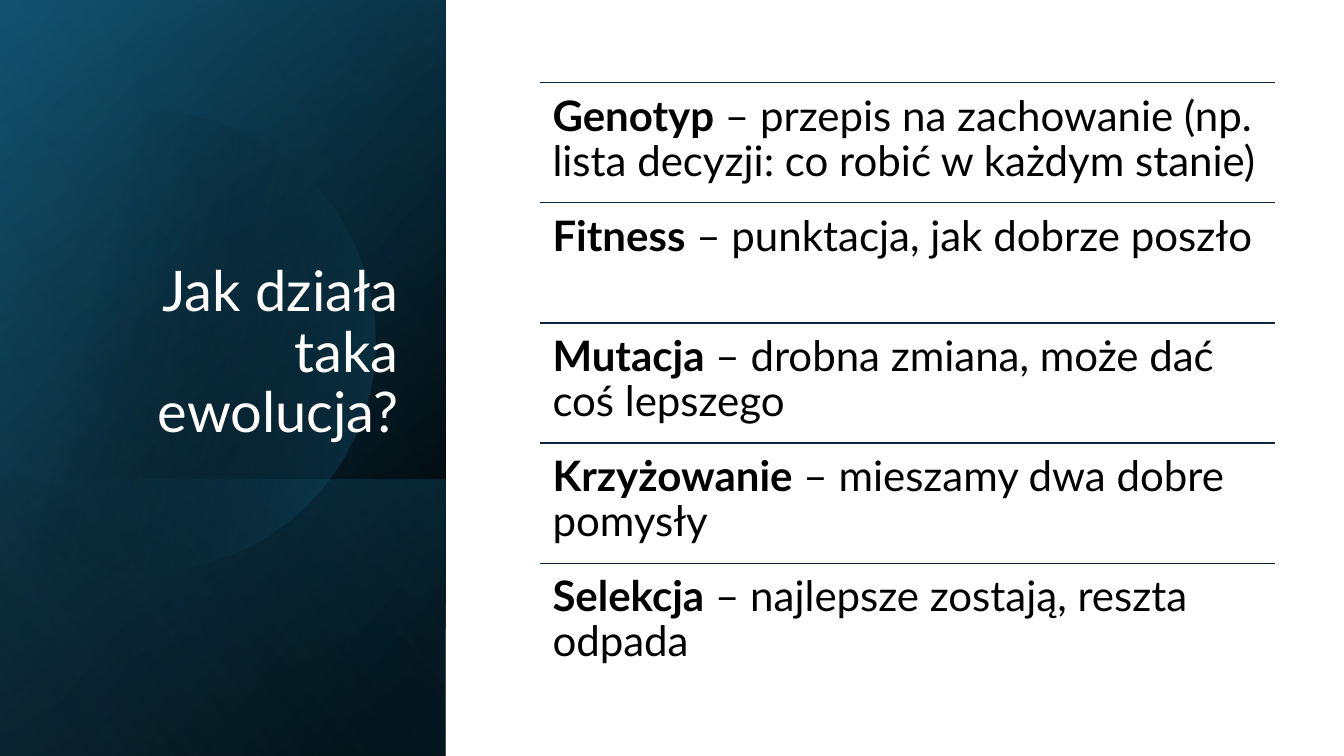
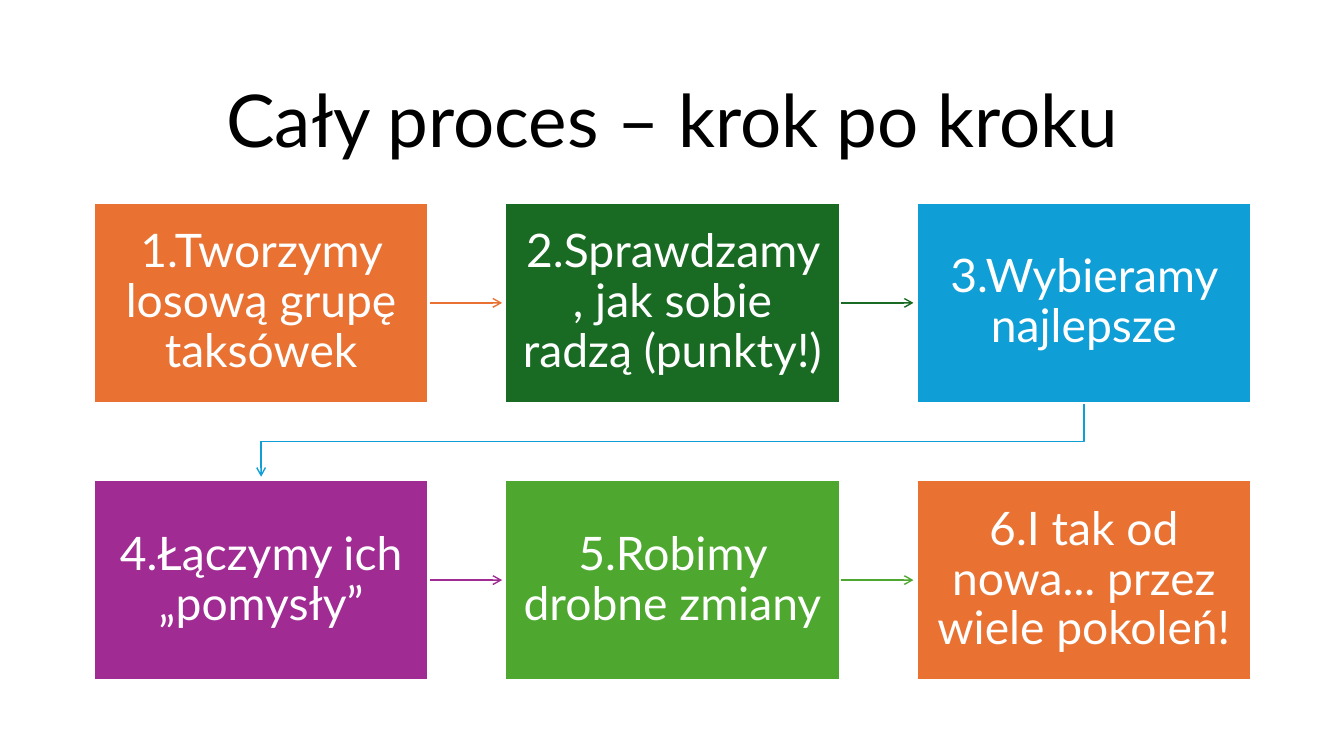
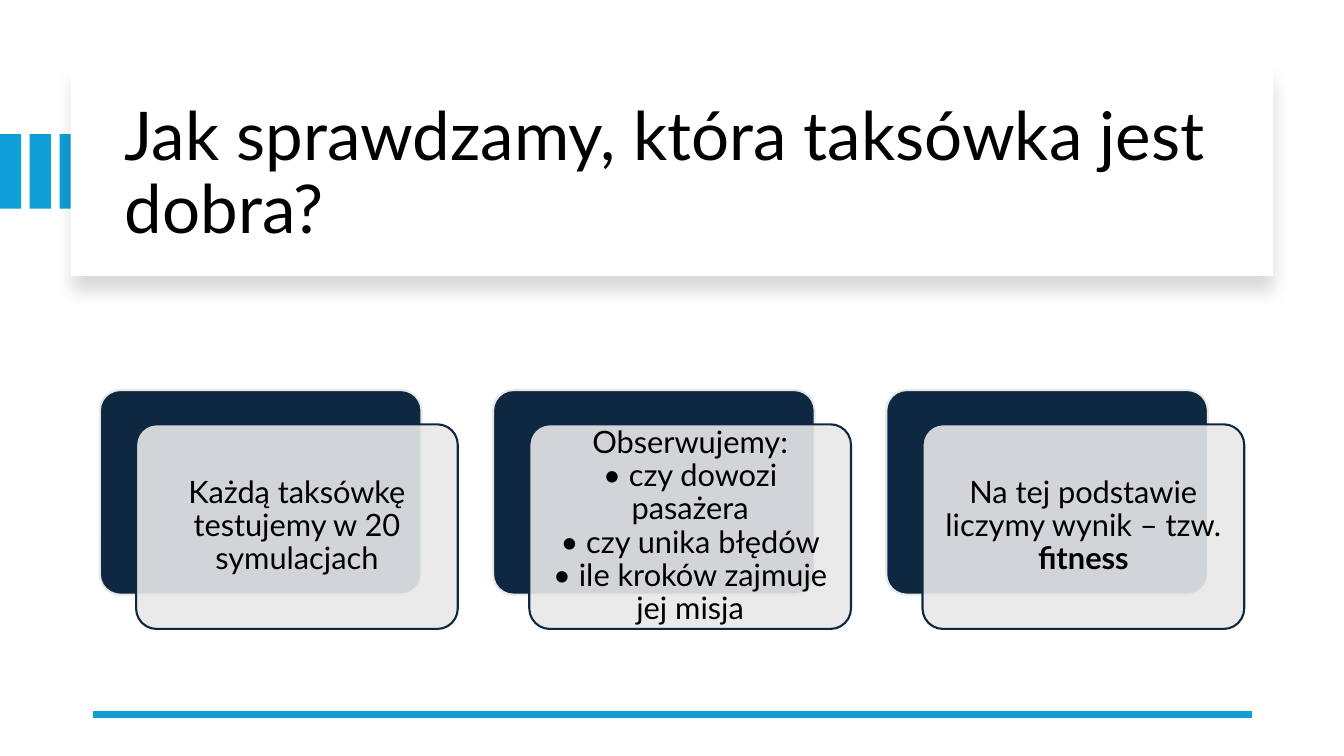
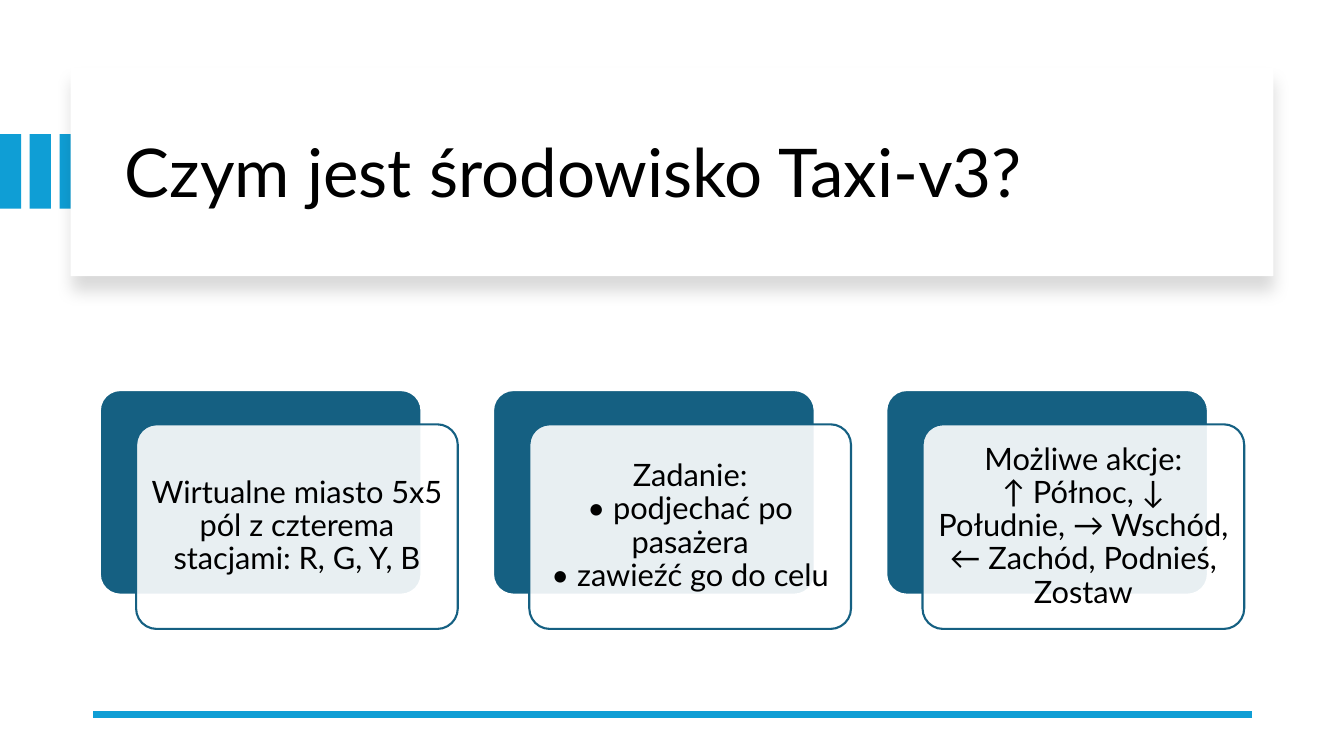
from lxml.etree import SubElement
from pptx import Presentation
from pptx.dml.color import RGBColor
from pptx.enum.shapes import MSO_CONNECTOR as Connector, MSO_SHAPE as Shape
from pptx.enum.text import MSO_ANCHOR as Anchor, PP_ALIGN as Align
from pptx.oxml import parse_xml
from pptx.oxml.ns import nsdecls, qn
from pptx.util import Inches, Pt

FONT = "Lato"
COLORS = {
    "white": "FFFFFF", "black": "000000", "navy": "0E2841", "teal": "156082",
    "deep_teal": "104862", "light_blue": "46B1E1", "blue": "0F9ED5", "grey": "E8E8E8",
    "orange": "E97132", "dark_green": "196B24", "purple": "A02B93", "green": "4EA72E",
}

TERMS_TITLE = "Jak działa taka ewolucja?"
TERMS = [
    ("Genotyp", " – przepis na zachowanie (np. lista decyzji: co robić w każdym stanie)"),
    ("Fitness", " – punktacja, jak dobrze poszło"),
    ("Mutacja", " – drobna zmiana, może dać coś lepszego"),
    ("Krzyżowanie", " – mieszamy dwa dobre pomysły"),
    ("Selekcja", " – najlepsze zostają, reszta odpada"),
]

STEPS_TITLE = "Cały proces – krok po kroku"
STEPS = [
    ("1.Tworzymy losową grupę taksówek", "orange"),
    ("2.Sprawdzamy, jak sobie radzą (punkty!)", "dark_green"),
    ("3.Wybieramy najlepsze", "blue"),
    ("4.Łączymy ich „pomysły”", "purple"),
    ("5.Robimy drobne zmiany", "green"),
    ("6.I tak od nowa... przez wiele pokoleń!", "orange"),
]

CARD_SLIDES = [
    {
        "title": "Jak sprawdzamy, która taksówka jest dobra?",
        "dark": "navy",
        "light": "grey",
        "cards": [
            [("Każdą taksówkę testujemy w 20 symulacjach", False)],
            [("Obserwujemy:\n• czy dowozi pasażera\n• czy unika błędów\n"
              "• ile kroków zajmuje jej misja", False)],
            [("Na tej podstawie liczymy wynik – tzw. ", False), ("fitness", True)],
        ],
    },
    {
        "title": "Czym jest środowisko Taxi-v3?",
        "dark": "teal",
        "light": "white",
        "cards": [
            [("Wirtualne miasto 5x5 pól z czterema stacjami: R, G, Y, B", False)],
            [("Zadanie:\n• podjechać po pasażera\n• zawieźć go do celu", False)],
            [("Możliwe akcje:\n↑ Północ, ↓ Południe, → Wschód, ← Zachód, "
              "Podnieś, Zostaw", False)],
        ],
    },
]

PANEL_WIDTH = 4.42
LOWER_TOP = 4.76
PANEL_LAYERS = [
    (0, 7.5, [(8, "black", 100), (100, "deep_teal", 100)], 50),
    (0, 7.5, [(0, "black", 0), (99, "teal", 46)], 30),
    (LOWER_TOP, 2.74, [(2, "teal", 29), (100, "black", 30)], 130),
]
PANEL_GLOW = (0, 7.5, [(0, "black", 0), (99, "light_blue", 11)], 120)
DISC_CURVES = [
    [(1.49, 1.1), (2.46, 1.12), (3.35, 1.77), (3.63, 2.75)],
    [(3.63, 2.75), (3.98, 3.97), (3.28, 5.23), (2.07, 5.58)],
    [(2.07, 5.58), (1.31, 5.8), (0.53, 5.61), (0, 5.16)],
    [(0, 1.61), (0.23, 1.42), (0.5, 1.28), (0.8, 1.19)],
    [(0.8, 1.19), (1.03, 1.13), (1.26, 1.1), (1.49, 1.1)],
]
DISC_STOPS = [(29, "black", 0), (100, "teal", 43)]


def rgb(name):
    return RGBColor.from_string(COLORS[name])


def write_text(shape, parts, size, color="black", align=Align.LEFT,
               anchor=Anchor.TOP, insets=(0.1, 0.05)):
    frame = shape.text_frame
    frame.word_wrap = True
    frame.vertical_anchor = anchor
    frame.margin_left = frame.margin_right = Inches(insets[0])
    frame.margin_top = frame.margin_bottom = Inches(insets[1])
    paragraph = frame.paragraphs[0]
    paragraph.alignment = align
    paragraph.line_spacing = 0.9
    for text, bold in parts:
        for index, line in enumerate(text.split("\n")):
            if index:
                paragraph.add_line_break()
            run = paragraph.add_run()
            run.text = line
            run.font.name = FONT
            run.font.size = Pt(size)
            run.font.bold = bold
            run.font.color.rgb = rgb(color)


def add_text(slide, box, parts, size, **style):
    shape = slide.shapes.add_textbox(*map(Inches, box))
    write_text(shape, parts, size, **style)


def style_shape(shape, fill=None, line=None, width=1.5, alpha=100):
    shape.shadow.inherit = False
    if fill:
        shape.fill.solid()
        shape.fill.fore_color.rgb = rgb(fill)
        if alpha < 100:
            color = shape.element.spPr.find(qn("a:solidFill"))[0]
            SubElement(color, qn("a:alpha"), val=str(alpha * 1000))
    else:
        shape.fill.background()
    if line:
        shape.line.color.rgb = rgb(line)
        shape.line.width = Pt(width)
    else:
        shape.line.fill.background()


def add_box(slide, kind, box, **style):
    shape = slide.shapes.add_shape(kind, *map(Inches, box))
    style_shape(shape, **style)
    return shape


def add_line(slide, start, end, color, width):
    line = slide.shapes.add_connector(Connector.STRAIGHT, *map(Inches, start + end))
    line.line.color.rgb = rgb(color)
    line.line.width = Pt(width)
    SubElement(line.element.spPr, qn("a:effectLst"))
    return line


def add_arrowhead(shape):
    outline = shape.element.spPr.find(qn("a:ln"))
    SubElement(outline, qn("a:tailEnd"), type="arrow")


def set_gradient(shape, stops, angle):
    style_shape(shape)
    stop_xml = "".join(
        f'<a:gs pos="{position * 1000}"><a:srgbClr val="{COLORS[color]}">'
        f'<a:alpha val="{alpha * 1000}"/></a:srgbClr></a:gs>'
        for position, color, alpha in stops)
    gradient = parse_xml(
        f'<a:gradFill {nsdecls("a")} rotWithShape="1"><a:gsLst>{stop_xml}</a:gsLst>'
        f'<a:lin ang="{angle * 60000}" scaled="0"/></a:gradFill>')
    properties = shape.element.spPr
    properties.replace(properties.find(qn("a:noFill")), gradient)


def add_panel_layer(slide, top, height, stops, angle):
    box = ((PANEL_WIDTH - height) / 2, top + (height - PANEL_WIDTH) / 2,
           height, PANEL_WIDTH)
    shape = slide.shapes.add_shape(Shape.RECTANGLE, *map(Inches, box))
    shape.rotation = 90
    shape.element.spPr.xfrm.set("flipH", "1")
    set_gradient(shape, stops, angle)


def add_outline(slide, points, close):
    points = [(Inches(x), Inches(y)) for x, y in points]
    builder = slide.shapes.build_freeform(*points[0])
    builder.add_line_segments(points[1:], close=close)
    return builder.convert_to_shape()


def curve_points(curve, count=16):
    for index in range(count + 1):
        t = index / count
        weights = ((1 - t) ** 3, 3 * t * (1 - t) ** 2, 3 * t * t * (1 - t), t ** 3)
        yield tuple(sum(w * point[axis] for w, point in zip(weights, curve))
                    for axis in (0, 1))


def build_terms(slide):
    for layer in PANEL_LAYERS:
        add_panel_layer(slide, *layer)
    disc_points = [point for curve in DISC_CURVES for point in curve_points(curve)]
    set_gradient(add_outline(slide, disc_points, True), DISC_STOPS, 14)
    add_panel_layer(slide, *PANEL_GLOW)
    add_text(slide, (0.64, 1.84, 3.41, 2.62), [(TERMS_TITLE, False)], 40,
             color="white", align=Align.RIGHT, anchor=Anchor.BOTTOM)

    left, top, width, bottom = 5.36, 0.82, 7.29, 6.78
    row_height = (bottom - top) / len(TERMS)
    for index, (term, meaning) in enumerate(TERMS):
        row_top = top + index * row_height
        add_line(slide, (left, row_top), (left + width, row_top), "navy", 1)
        add_text(slide, (left, row_top, width, row_height),
                 [(term, True), (meaning, False)], 30, insets=(0.12, 0.12))


def build_steps(slide):
    add_text(slide, (0.92, 0.61, 11.5, 1.24), [(STEPS_TITLE, False)], 52,
             align=Align.CENTER, anchor=Anchor.MIDDLE)
    columns, left, top, width, height = 3, 0.93, 2.01, 3.32, 1.99
    column_step, row_step, gap = 4.08, 2.75, 0.73
    for index, (text, color) in enumerate(STEPS):
        row, column = divmod(index, columns)
        x, y = left + column * column_step, top + row * row_step
        if column < columns - 1:
            start = (x + width, y + height / 2)
            arrow = add_line(slide, start, (start[0] + gap, start[1]), color, 1)
            add_arrowhead(arrow)
        elif index < len(STEPS) - 1:
            start_x, end_x, bottom = x + width / 2, left + width / 2, y + height
            turn = bottom + 0.38
            arrow = add_outline(slide, [(start_x, bottom), (start_x, turn),
                                        (end_x, turn), (end_x, bottom + gap)], False)
            style_shape(arrow, line=color, width=1)
            add_arrowhead(arrow)
        step = add_box(slide, Shape.RECTANGLE, (x, y, width, height),
                       fill=color, line="white")
        write_text(step, [(text, False)], 33, color="white", align=Align.CENTER,
                   anchor=Anchor.MIDDLE, insets=(0.16, 0.17))


def add_title_banner(slide, title):
    for index in range(3):
        add_box(slide, Shape.RECTANGLE, (index * 0.295, 1.33, 0.21, 0.74), fill="blue")
    banner = add_box(slide, Shape.RECTANGLE, (0.7, 0.67, 11.93, 2.07), fill="white")
    effects = banner.element.spPr.find(qn("a:effectLst"))
    shadow = SubElement(effects, qn("a:outerShdw"), blurRad=str(Pt(11)),
                        dist=str(Pt(10)), dir="5400000", algn="t", rotWithShape="0")
    color = SubElement(shadow, qn("a:srgbClr"), val=COLORS["black"])
    SubElement(color, qn("a:alpha"), val="15000")
    add_text(slide, (1.14, 0.89, 11.13, 1.7), [(title, False)], 48, anchor=Anchor.MIDDLE)
    add_line(slide, (12.42, 7.09), (0.92, 7.09), "blue", 4.5)


def build_cards(slide, content):
    add_title_banner(slide, content["title"])
    dark, light = content["dark"], content["light"]
    left, top, width, height, step = 0.99, 3.87, 3.19, 2.03, 3.9
    for index, parts in enumerate(content["cards"]):
        x = left + index * step
        back = add_box(slide, Shape.ROUNDED_RECTANGLE, (x, top, width, height),
                       fill=dark, line=light)
        front = add_box(slide, Shape.ROUNDED_RECTANGLE,
                        (x + 0.36, top + 0.34, width, height),
                        fill=light, line=dark, alpha=90)
        for card in (back, front):
            card.adjustments[0] = 0.1
        write_text(front, parts, 22, align=Align.CENTER, anchor=Anchor.MIDDLE,
                   insets=(0.09, 0.09))


def main():
    presentation = Presentation()
    presentation.slide_width, presentation.slide_height = Inches(13.33), Inches(7.5)
    blank = presentation.slide_layouts[6]
    build_terms(presentation.slides.add_slide(blank))
    build_steps(presentation.slides.add_slide(blank))
    for content in CARD_SLIDES:
        build_cards(presentation.slides.add_slide(blank), content)
    presentation.save("out.pptx")


if __name__ == "__main__":
    main()
